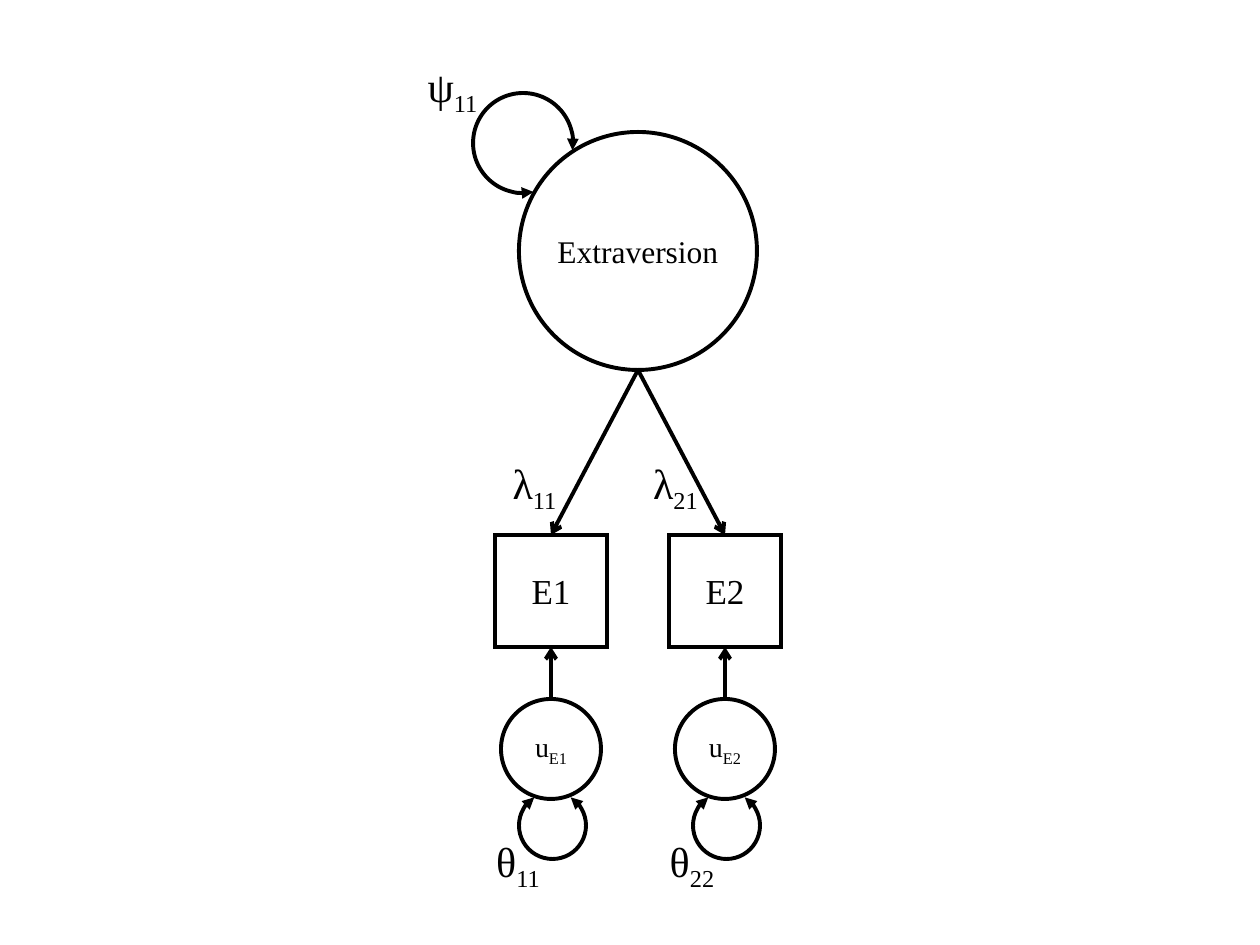
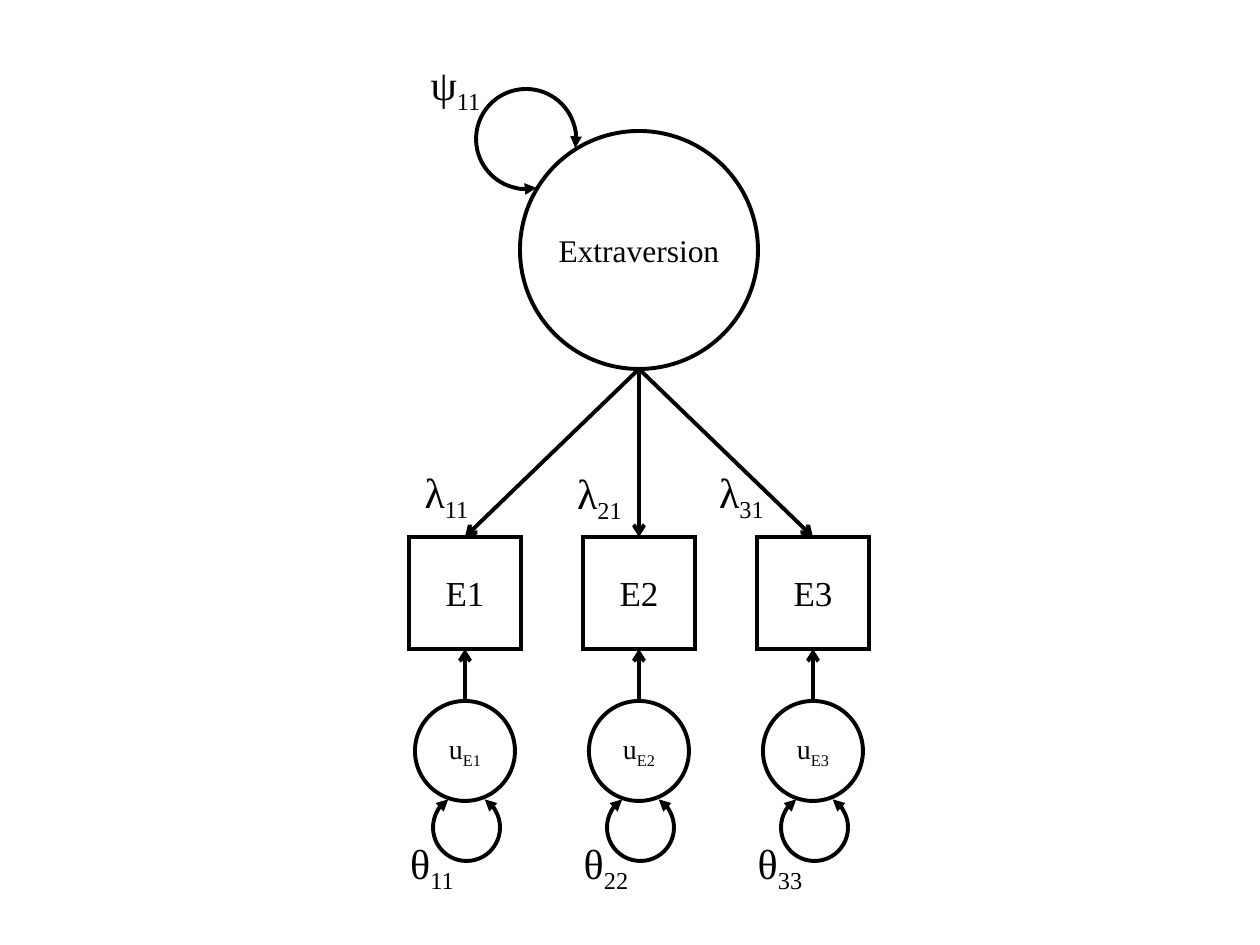
from lxml import etree
from pptx import Presentation
from pptx.dml.color import RGBColor
from pptx.enum.shapes import MSO_CONNECTOR as CONN, MSO_SHAPE as SHAPE
from pptx.enum.text import MSO_ANCHOR, MSO_AUTO_SIZE, PP_ALIGN
from pptx.oxml.ns import qn
from pptx.util import Pt

# Content: one path diagram per slide, lengths in px
FACTOR = "Extraversion"
DIAGRAMS = [
    {"cx": 638, "factor_top": 132, "item_top": 535,
     "loop": (473, 93), "loop_end": 233.5, "psi": (407, 54),
     "items": ["E1", "E2"],
     "loadings": [("11", 489, 451), ("21", 630, 451)]},
    {"cx": 639, "factor_top": 131, "item_top": 537,
     "loop": (476, 89), "loop_end": 235.5, "psi": (410, 52),
     "items": ["E1", "E2", "E3"],
     "loadings": [("11", 401, 460), ("21", 554, 461), ("31", 696, 460)]},
]

# Shared sizes and style
PX = 914400 / 126
SLIDE_W, SLIDE_H = 1260, 945
FACTOR_D, ITEM, ERROR_D = 238, 112, 100
PITCH = 174            # between item centres
ERROR_DROP = 164       # item top to error top
LOOP_D, SMALL_LOOP_D = 100, 67
LOOP_START, SMALL_LOOP_END = 303, 237    # degrees, clockwise from the right
LABEL_W, THETA_W, LABEL_H = 91, 78, 63
BLACK = RGBColor(0, 0, 0)
WHITE = RGBColor(255, 255, 255)
FONT = "Times New Roman"
LINE_W = Pt(2.25)


def px(*values):
    return [round(v * PX) for v in values]


def style_line(s, head=None, tail=None):
    s.line.color.rgb = BLACK
    s.line.width = LINE_W
    ln = s._element.spPr.find(qn("a:ln"))
    etree.SubElement(ln, qn("a:miter"), lim="800000")
    for tag, kind in (("a:headEnd", head), ("a:tailEnd", tail)):
        if kind:
            etree.SubElement(ln, qn(tag), type=kind)


def write(s, size, text, sub=""):
    """Centred text with an optional subscript."""
    tf = s.text_frame
    tf.word_wrap = True
    p = tf.paragraphs[0]
    p.alignment = PP_ALIGN.CENTER
    for part in filter(None, (text, sub)):
        r = p.add_run()
        r.text = part
        for name, value in {"name": FONT, "size": Pt(size)}.items():
            setattr(r.font, name, value)
        r.font.color.rgb = BLACK
    if sub:
        r.font._element.set("baseline", "-25000")
    return tf


def add_node(slide, kind, x, y, d, size, text, sub=""):
    s = slide.shapes.add_shape(kind, *px(x, y, d, d))
    s.shadow.inherit = False
    s.fill.solid()
    s.fill.fore_color.rgb = WHITE
    style_line(s)
    write(s, size, text, sub).vertical_anchor = MSO_ANCHOR.MIDDLE
    return s


def add_label(slide, x, y, w, text, sub):
    s = slide.shapes.add_textbox(*px(x, y, w, LABEL_H))
    write(s, 24, text, sub).auto_size = MSO_AUTO_SIZE.SHAPE_TO_FIT_TEXT


def add_loop(slide, x, y, d, end, rotation=0):
    """Double-headed variance arc."""
    s = slide.shapes.add_shape(SHAPE.ARC, *px(x, y, d, d))
    s.shadow.inherit = False
    s.fill.background()
    s.rotation = rotation
    for i, degrees in enumerate((LOOP_START, end)):
        s.adjustments[i] = degrees * 0.6    # 60000 units a degree, over 100000
    style_line(s, "triangle", "triangle")


def add_arrow(slide, x, y, item, site):
    """Arrow from a point to the middle of an item's side."""
    c = slide.shapes.add_connector(CONN.STRAIGHT, *px(x, y, x, y))
    c.end_connect(item, site)
    style_line(c, tail="arrow")
    etree.SubElement(c._element.spPr, qn("a:effectLst"))


def build(slide, d):
    cx, item_top = d["cx"], d["item_top"]
    error_top = item_top + ERROR_DROP
    first = cx - PITCH * (len(d["items"]) - 1) / 2

    # Items, each with its error term and arrows
    for i, name in enumerate(d["items"]):
        x = first + i * PITCH
        item = add_node(slide, SHAPE.RECTANGLE, x - ITEM / 2, item_top,
                        ITEM, 20, name)
        add_arrow(slide, cx, d["factor_top"] + FACTOR_D, item, 0)
        add_arrow(slide, x, error_top, item, 2)
        add_node(slide, SHAPE.OVAL, x - ERROR_D / 2, error_top,
                 ERROR_D, 16, "u", name)
        add_loop(slide, x - 32, error_top + 93, SMALL_LOOP_D, SMALL_LOOP_END)
        add_label(slide, x - 72, error_top + 130, THETA_W, "θ", f"{i + 1}" * 2)

    # Factor with its variance
    factor = add_node(slide, SHAPE.OVAL, cx - FACTOR_D / 2, d["factor_top"],
                      FACTOR_D, 18, FACTOR)
    factor.text_frame.margin_left = factor.text_frame.margin_right = 0
    add_loop(slide, *d["loop"], LOOP_D, d["loop_end"], 135)
    add_label(slide, *d["psi"], LABEL_W, "ψ", "11")

    # Loadings
    for sub, x, y in d["loadings"]:
        add_label(slide, x, y, LABEL_W, "λ", sub)


def main():
    prs = Presentation()
    prs.slide_width, prs.slide_height = px(SLIDE_W, SLIDE_H)
    for d in DIAGRAMS:
        build(prs.slides.add_slide(prs.slide_layouts[6]), d)
    prs.save("out.pptx")


if __name__ == "__main__":
    main()
